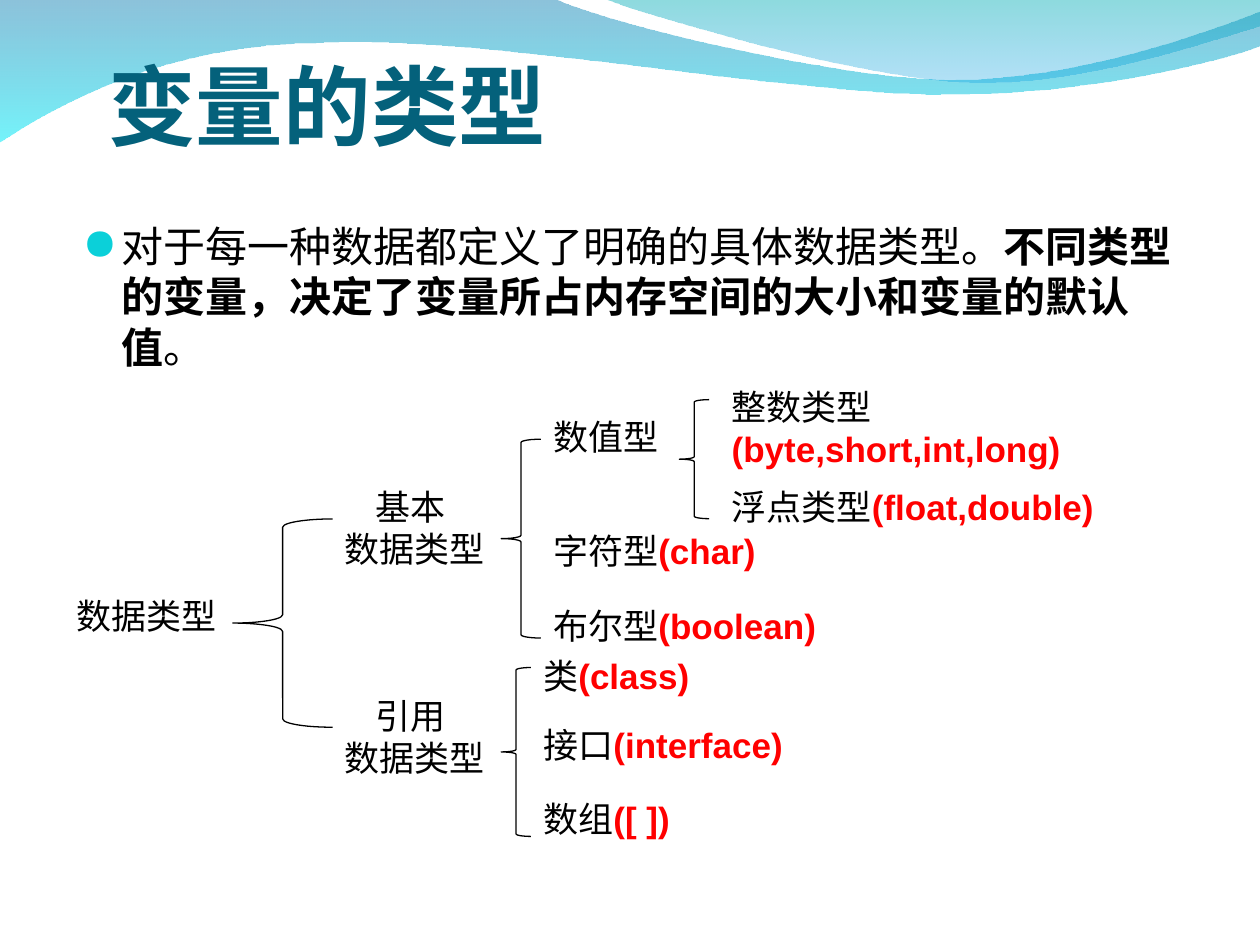
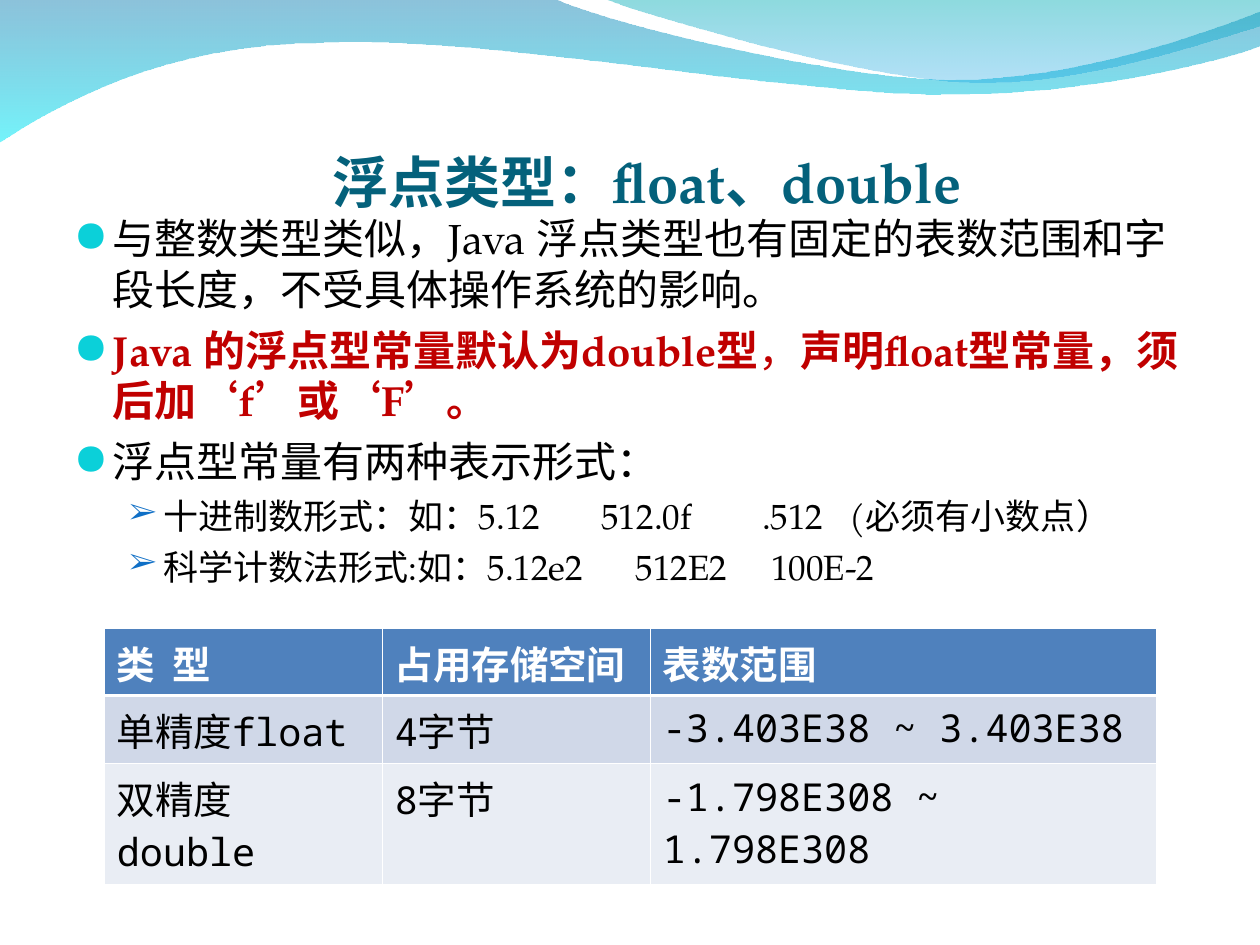
import pptx
import pptx.util
import pptx.dml.color
import pptx.enum.shapes
import pptx.enum.text
import pptx.oxml
import pptx.oxml.ns
import lxml.etree

Pt = pptx.util.Pt
RGBColor = pptx.dml.color.RGBColor
qn = pptx.oxml.ns.qn

BLACK = RGBColor(0, 0, 0)
WHITE = RGBColor(255, 255, 255)
RED = RGBColor(255, 0, 0)
DARK_RED = RGBColor(0xC0, 0, 0)
TITLE_TEAL = RGBColor(0x04, 0x61, 0x7B)
BULLET_CYAN = RGBColor(0x0B, 0xD0, 0xD9)
BULLET_BLUE = RGBColor(0x0F, 0x6F, 0xC6)
WAVE_BLUE = RGBColor(0x00, 0x79, 0xAF)
WAVE_CYAN = RGBColor(0x00, 0xEB, 0xF8)
WAVE_TEAL = RGBColor(0x00, 0xAD, 0xB6)
WAVE_SKY = RGBColor(0x00, 0x9B, 0xE5)
HEADER_BLUE = RGBColor(0x4F, 0x81, 0xBD)
ROW_DARK = RGBColor(0xD0, 0xD8, 0xE8)
ROW_LIGHT = RGBColor(0xE9, 0xED, 0xF4)

SERIF, SANS, MONO = "TeX Gyre Pagella", "Arial", "Noto Sans Mono"

# Waves: start point, then segments of one point (line) or three points (curve)
WAVES = [
    ((0, -0.7), [
        [(316.8, -0.7)],
        [(342.7, 12.2), (478.1, 45.4), (545.8, 45.4)],
        [(614.2, 45.4), (689.8, 18.7), (720, 6.5)],
        [(720.7, 25.9)],
        [(707.8, 31.7), (626.4, 54.7), (537.1, 54)],
        [(447.8, 54), (275, 20.2), (185, 24.5)],
        [(92.9, 25.2), (33.1, 59.8), (-0.7, 81.4)],
    ], [(WAVE_BLUE, 45), (WAVE_CYAN, 55)]),
    ((344.9, -0.7), [
        [(366.5, 7.9), (491, 44.6), (553.7, 46.8)],
        [(616.3, 49.7), (691.9, 23), (720, 15.1)],
        [(720, 0)],
    ], [(WAVE_TEAL, 45), (WAVE_SKY, 30)]),
]

# Bullet levels: sign, colour, percent of text size, left, hanging, space before, text size
LEVELS = [
    ("●", BULLET_CYAN, 95, 21.6, 21.6, 6, 24),
    ("➢", BULLET_BLUE, 85, 50.4, 19.4, 5, 20),
]

# Title, title size, title box, body box, body paragraphs (level, bold, colour, runs)
SLIDES = [
    ("变量的类型", 50, (62, 0, 591, 90), (41, 122.4, 648, 96.5), [
        (0, False, BLACK, [
            "对于每一种数据都定义了明确的具体数据类型。",
            ("不同类型的变量，决定了变量所占内存空间的大小和变量的默认值", BLACK, True),
            "。"]),
    ]),
    ("浮点类型：float、double", 32, (190, 60, 428, 62.6), (35.8, 118, 648, 222.5), [
        (0, False, BLACK,
         ["与整数类型类似，Java 浮点类型也有固定的表数范围和字段长度，不受具体操作系统的影响。"]),
        (0, True, DARK_RED, [
            "Java 的浮点型常量默认为double型",
            ("，", DARK_RED, False),
            "声明float型常量，须后加‘f’或‘F’。"]),
        (0, False, BLACK, ["浮点型常量有两种表示形式："]),
        (1, False, BLACK, ["十进制数形式：如：5.12", 30, "512.0f", 35, ".512", 10, "(必须有小数点）"]),
        (1, False, BLACK, ["科学计数法形式:如：5.12e2", 25, "512E2", 20, "100E-2"]),
    ]),
]


def write(paragraph, runs, size, font, color=BLACK, bold=False):
    """Runs are plain text, (text, colour, bold), or a number: one space widened by it."""
    paragraph.font.size = Pt(size)
    paragraph.font.name = font
    paragraph.font.bold = bold
    paragraph.font.color.rgb = color
    for item in runs:
        run = paragraph.add_run()
        if isinstance(item, str):
            run.text = item
        elif isinstance(item, tuple):
            run.text, run.font.color.rgb, run.font.bold = item
        else:
            run.text = " "
            run._r.get_or_add_rPr().set("spc", str(int(item * 100)))


def add_frame(slide, box):
    frame = slide.shapes.add_textbox(*map(Pt, box)).text_frame
    frame.word_wrap = True
    return frame


presentation = pptx.Presentation()
presentation.slide_width = Pt(720)
presentation.slide_height = Pt(540)

# Shared parts: waves, title, bulleted body
for title, title_size, title_box, body_box, body in SLIDES:
    slide = presentation.slides.add_slide(presentation.slide_layouts[6])

    for start, segments, stops in WAVES:
        builder = slide.shapes.build_freeform(*map(Pt, start))
        builder.add_line_segments([(Pt(x), Pt(y)) for segment in segments for x, y in segment])
        wave = builder.convert_to_shape()
        # Turn each three-point segment into one Bézier curve
        lines = iter(wave._element.findall(".//" + qn("a:lnTo")))
        for segment in segments:
            first = next(lines)
            if len(segment) == 3:
                first.tag = qn("a:cubicBezTo")
                for line in (next(lines), next(lines)):
                    first.append(line[0])
                    line.getparent().remove(line)
        lxml.etree.SubElement(wave._element.find(".//" + qn("a:path")), qn("a:close"))

        wave.shadow.inherit = False
        wave.line.fill.background()
        wave.fill.gradient()
        wave.fill.gradient_angle = 270
        for position, (stop, (color, opacity)) in enumerate(zip(wave.fill.gradient_stops, stops)):
            stop.position = position
            stop.color.rgb = color
            color_element = stop._gs.find(qn("a:srgbClr"))
            lxml.etree.SubElement(color_element, qn("a:alpha")).set("val", str(opacity * 1000))

    title_frame = add_frame(slide, title_box)
    title_frame.vertical_anchor = pptx.enum.text.MSO_ANCHOR.BOTTOM
    title_frame.margin_left = title_frame.margin_right = title_frame.margin_bottom = 0
    write(title_frame.paragraphs[0], [title], title_size, SERIF, TITLE_TEAL, True)

    body_frame = add_frame(slide, body_box)
    for index, (level, bold, color, runs) in enumerate(body):
        sign, sign_color, percent, left, hanging, space, size = LEVELS[level]
        paragraph = body_frame.add_paragraph() if index else body_frame.paragraphs[0]
        paragraph.level = level
        if index:
            paragraph.space_before = Pt(space)
        properties = paragraph._p.get_or_add_pPr()
        properties.set("marL", str(Pt(left)))
        properties.set("indent", str(-Pt(hanging)))
        properties.set("hangingPunct", "0")
        bullet_color = lxml.etree.SubElement(properties, qn("a:buClr"))
        lxml.etree.SubElement(bullet_color, qn("a:srgbClr")).set("val", str(sign_color))
        lxml.etree.SubElement(properties, qn("a:buSzPct")).set("val", str(percent * 1000))
        lxml.etree.SubElement(properties, qn("a:buFont")).set("typeface", SERIF)
        lxml.etree.SubElement(properties, qn("a:buChar")).set("char", sign)
        write(paragraph, runs, size, SERIF, color, bold)

types_slide, float_slide = presentation.slides

# Type tree: braces
for box in [
    (133, 296.6, 57, 119),
    (286.4, 251, 22.6, 113.6),
    (286.4, 381.5, 17, 96.5),
    (388.2, 228.4, 17, 68),
]:
    brace = types_slide.shapes.add_shape(pptx.enum.shapes.MSO_SHAPE.LEFT_BRACE, *map(Pt, box))
    brace.shadow.inherit = False
    brace.fill.background()
    brace.line.color.rgb = BLACK
    brace.line.width = Pt(0.75)

# Type tree: labels with their keywords
for left, top, width, label, keyword in [
    (36.7, 336.2, 113, "数据类型", ""),
    (309, 234, 102, "数值型", ""),
    (309, 298.8, 136, "字符型", "(char)"),
    (309, 342, 176, "布尔型", "(boolean)"),
    (411, 217, 278, "整数类型", "(byte,short,int,long)"),
    (411, 274, 266, "浮点类型", "(float,double)"),
    (303.4, 370.4, 136, "类", "(class)"),
    (303.4, 409.7, 199, "接口", "(interface)"),
    (303.4, 452.2, 136, "数组", "([ ])"),
]:
    label_frame = add_frame(types_slide, (left, top, width, 31.7))
    runs = [label, (keyword, RED, True)] if keyword else [label]
    write(label_frame.paragraphs[0], runs, 20, SANS)

# Type tree: the two families, first line indented
for top, family in [(274, "基本"), (393.4, "引用")]:
    family_frame = add_frame(types_slide, (189.8, top, 159, 55.4))
    first_line = family_frame.paragraphs[0]
    first_line._p.get_or_add_pPr().set("marL", str(Pt(17.8)))
    first_line._p.get_or_add_pPr().set("indent", "0")
    write(first_line, [family], 20, SANS)
    write(family_frame.add_paragraph(), ["数据类型"], 20, SANS)

# Table of floating-point types
ROWS = [
    [["类", 5, "型"], ["占用存储空间"], ["表数范围"]],
    [["单精度float"], ["4字节"], ["-3.403E38 ~ 3.403E38"]],
    [["双精度double"], ["8字节"], ["-1.798E308 ~ 1.798E308"]],
]
ROW_FILLS = [HEADER_BLUE, ROW_DARK, ROW_LIGHT]
COLUMN_WIDTHS = (158.8, 153.2, 289.2)
ROW_HEIGHTS = (38.4, 39, 69)
table = float_slide.shapes.add_table(
    3, 3, Pt(59.6), Pt(359), Pt(sum(COLUMN_WIDTHS)), Pt(sum(ROW_HEIGHTS))).table
for column, width in zip(table.columns, COLUMN_WIDTHS):
    column.width = Pt(width)
for row, height in zip(table.rows, ROW_HEIGHTS):
    row.height = Pt(height)
for row_index, row_texts in enumerate(ROWS):
    header = row_index == 0
    for column_index, runs in enumerate(row_texts):
        cell = table.cell(row_index, column_index)
        cell_properties = cell._tc.get_or_add_tcPr()
        for side in ("lnL", "lnR", "lnT", "lnB"):
            thick = (row_index, side) in [(0, "lnB"), (1, "lnT")]
            border = lxml.etree.SubElement(cell_properties, qn("a:" + side))
            border.set("w", str(Pt(1.47 if thick else 0.45)))
            border_fill = lxml.etree.SubElement(border, qn("a:solidFill"))
            lxml.etree.SubElement(border_fill, qn("a:srgbClr")).set("val", str(WHITE))
        cell.fill.solid()
        cell.fill.fore_color.rgb = ROW_FILLS[row_index]
        write(cell.text_frame.paragraphs[0], runs, 22, MONO, WHITE if header else BLACK, header)

presentation.save("out.pptx")
